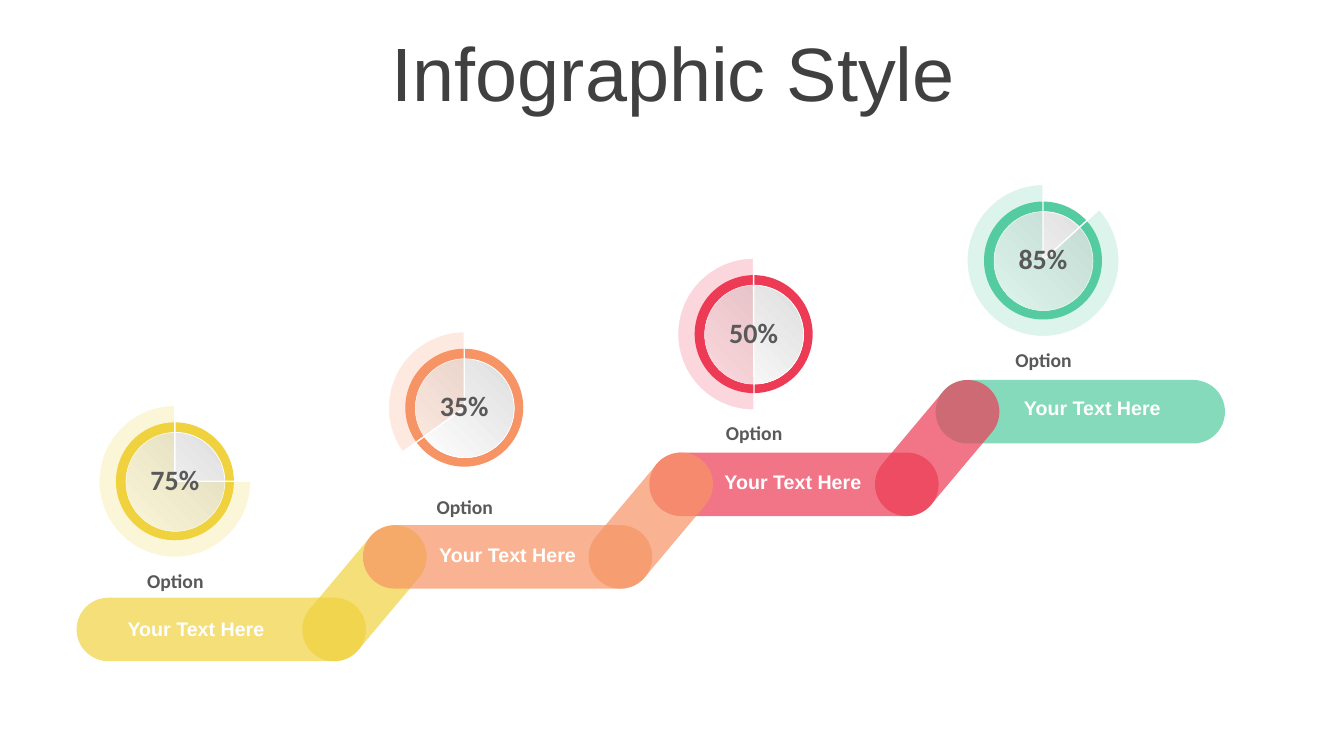
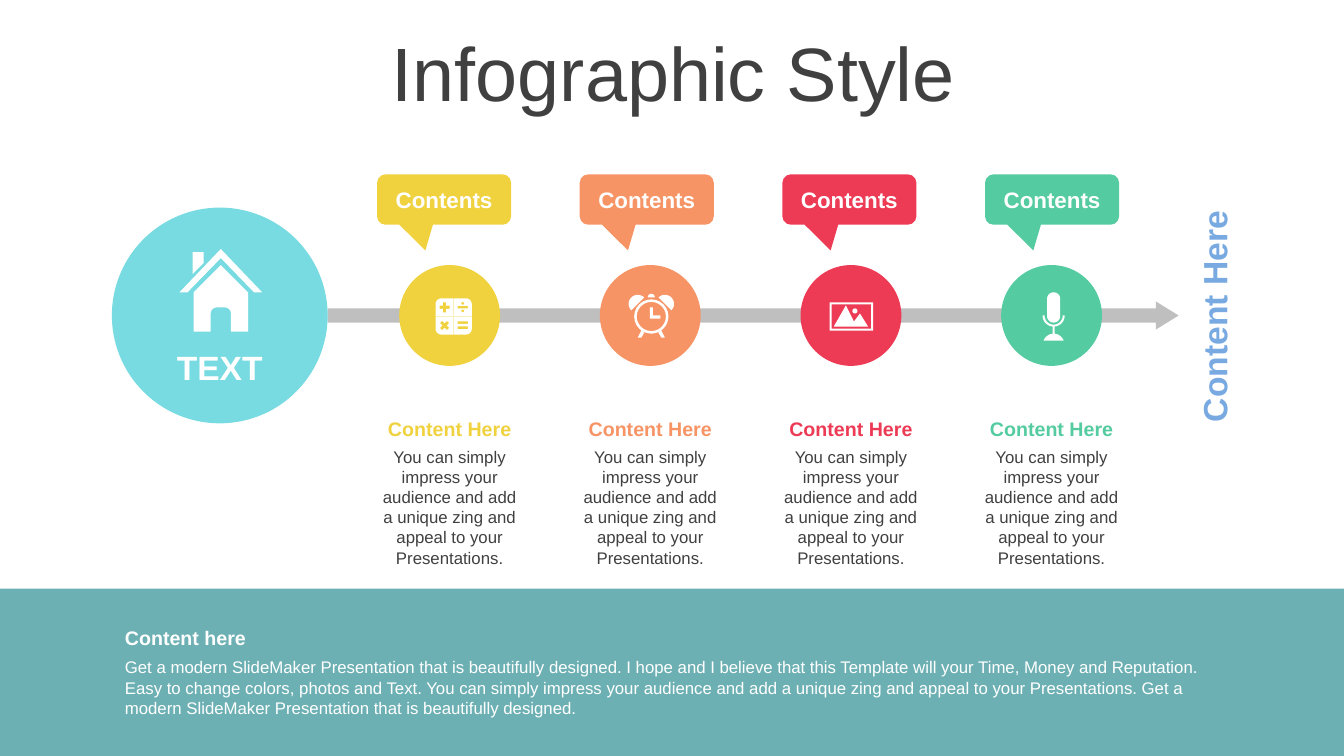
"""Build two infographic slides: a staircase of dials and an icon timeline."""
from math import cos, radians, sin

from lxml import etree
from pptx import Presentation
from pptx.dml.color import RGBColor
from pptx.enum.shapes import MSO_SHAPE
from pptx.enum.text import MSO_ANCHOR, PP_ALIGN
from pptx.oxml.ns import qn
from pptx.util import Inches, Pt

OVAL, PIE, RECT = MSO_SHAPE.OVAL, MSO_SHAPE.PIE, MSO_SHAPE.RECTANGLE
PILL, ARROW = MSO_SHAPE.ROUNDED_RECTANGLE, MSO_SHAPE.RIGHT_ARROW
BUBBLE = MSO_SHAPE.ROUNDED_RECTANGULAR_CALLOUT
LEFT, MID = PP_ALIGN.LEFT, PP_ALIGN.CENTER
TOP, CORE = MSO_ANCHOR.TOP, MSO_ANCHOR.MIDDLE


class Theme:
    white, dark, grey, silver = "FFFFFF", "404040", "595959", "BFBFBF"
    shade, aqua, sky, teal = "DEDEDE", "77DBE1", "78AAE1", "1F878D"
    hues = ["F0D23F", "F79465", "ED3B55", "54CBA0"]
    fonts = {
        "title": dict(name="Arial", size=Pt(54), bold=False),
        "big": dict(name="Arial", size=Pt(24), bold=True),
        "tag": dict(name="Arial", size=Pt(16), bold=True),
        "head": dict(name="Arial", size=Pt(14), bold=True),
        "body": dict(name="Arial", size=Pt(12), bold=False),
        "rate": dict(name="Calibri", size=Pt(20), bold=True),
        "label": dict(name="Calibri", size=Pt(14), bold=True),
    }


def box(x, y, w, h):
    return [(x, y), (x + w, y), (x + w, y + h), (x, y + h)]


def arc(x, y, r, start=0, end=360):
    turns = [radians(start + (end - start) * k / 24) for k in range(25)]
    return [(x + r * cos(t), y + r * sin(t)) for t in turns]


def cross(x, y, a, b, turn=0):
    arm = [(a, -b), (a, b), (b, b)]
    spins = [radians(turn + 90 * k) for k in range(4)]
    return [(x + u * cos(t) - v * sin(t), y + u * sin(t) + v * cos(t))
            for t in spins for u, v in arm]


def flip(dots):
    return [(-x, y) for x, y in dots]


def house():
    body = [(0, -25), (27, 2), (27, 41), (10, 41)] + arc(4, 23, 6, 0, -90)
    body += arc(-4, 23, 6, 270, 180) + [(-10, 41), (-27, 41), (-27, 2)]
    roof = [(0, -41), (41, 2), (33, 2), (0, -32), (-33, 2), (-41, 2)]
    flue = [(-28, -38), (-17, -38), (-17, -27), (-28, -16)]
    return [body, roof, flue]


def abacus():
    edge = (arc(12, 12, 6, 0, 90) + arc(-12, 12, 6, 90, 180)
            + arc(-12, -12, 6, 180, 270) + arc(12, -12, 6, 270, 360))
    seams = [box(-0.3, -18, 0.6, 36), box(-18, -0.3, 36, 0.6)]
    bars = [box(4, y, 10, 2.5) for y in (-10.5, 5, 10)]
    dots = [arc(9, y, 1.4) for y in (-13, -5.5)]
    return [edge, *seams, *bars, *dots,
            cross(-9, -9, 5, 1.6), cross(-9, 9, 5, 1.6, 45)]


def clock():
    ear = arc(-13.5, -12.5, 9, 135, 315)
    leg = [(-10, 14), (-13.5, 21), (-10, 21), (-7, 16)]
    hands = [(-1.5, -9), (1.5, -9), (1.5, -1), (9, -1), (9, 2), (-1.5, 2)]
    return [arc(0, 0, 17), arc(0, 0, 14.5), hands, ear, flip(ear),
            leg, flip(leg), arc(0, -19, 3.5, 180, 360)]


def photo():
    hills = [(-6, -11), (2, 5), (8, -3), (16, 10), (-18, 10)]
    return [box(-22, -14, 43, 28), box(-20, -12, 39, 24), hills,
            arc(3, -5.5, 2.5)]


def mic():
    head = arc(0, -16.5, 6.5, 180, 360) + arc(0, 0.5, 6.5, 0, 180)
    cup = arc(0, 0, 11, 0, 180) + arc(0, 0, 9, 180, 0)
    return [head, cup, box(-1, 11, 2, 7), arc(0, 28.6, 10.6, 200, 340)]


class Deck:
    def __init__(self, theme):
        self.theme = theme
        self.file = Presentation()
        self.file.slide_width = Inches(13.33)
        self.file.slide_height = Inches(7.5)

    def page(self, title):
        self.slide = self.file.slides.add_slide(self.file.slide_layouts[6])
        para = self.text(title, "title", self.theme.dark,
                         0.35, 0.37, 12.66, 0.79, anchor=CORE)
        para.line_spacing = 0.9

    def text(self, words, style, hue, x, y, w, h,
             align=MID, anchor=TOP, turn=0):
        item = self.slide.shapes.add_textbox(*map(Inches, (x, y, w, h)))
        item.rotation = turn
        frame = item.text_frame
        frame.word_wrap = True
        frame.vertical_anchor = anchor
        para = frame.paragraphs[0]
        para.text = words
        para.alignment = align
        for key, value in self.theme.fonts[style].items():
            setattr(para.font, key, value)
        para.font.color.rgb = RGBColor.from_string(hue)
        return para

    def paint(self, item, hue, alpha=100):
        item.shadow.inherit = False
        item.line.fill.background()
        item.fill.solid()
        item.fill.fore_color.rgb = RGBColor.from_string(hue)
        if alpha < 100:
            tint = item._element.spPr.find(".//" + qn("a:srgbClr"))
            etree.SubElement(tint, qn("a:alpha"), val=str(alpha * 1000))

    def shape(self, kind, hue, x, y, w, h, adj=(), alpha=100, turn=0):
        item = self.slide.shapes.add_shape(kind, *map(Inches, (x, y, w, h)))
        for k, value in enumerate(adj):
            item.adjustments[k] = value
        item.rotation = turn
        self.paint(item, hue, alpha)
        return item

    def rim(self, item, width):
        item.line.color.rgb = RGBColor.from_string(self.theme.white)
        item.line.width = Pt(width)

    def icon(self, loops, x, y):
        paths = [[(Inches(x + u / 100), Inches(y + v / 100))
                  for u, v in loop] for loop in loops]
        pen = self.slide.shapes.build_freeform(*paths[0][0])
        for k, dots in enumerate(paths):
            if k:
                pen.move_to(*dots[0])
            pen.add_line_segments(dots[1:], close=True)
        self.paint(pen.convert_to_shape(), self.theme.white)

    def bar(self, k):
        self.shape(PILL, self.theme.hues[k], 0.76 + 2.84 * k,
                   5.93 - 0.72 * k, 2.87, 0.63, [0.5], 70)

    def link(self, k):
        self.shape(PILL, self.theme.hues[k], 2.83 + 2.84 * k,
                   5.57 - 0.72 * k, 1.57, 0.63, [0.5], 70, 310)

    def dial(self, rate, start, hue, x, y):
        look = self.theme
        self.shape(OVAL, hue, x, y, 1.17, 1.17)
        face = self.shape(OVAL, look.white, x + 0.1, y + 0.1, 0.98, 0.98)
        face.fill.gradient()
        face.fill.gradient_angle = 225
        for stop, tone in zip(face.fill.gradient_stops,
                              (look.shade, look.white)):
            stop.color.rgb = RGBColor.from_string(tone)
        self.rim(face, 0.5)
        slice = self.shape(PIE, hue, x - 0.17, y - 0.17, 1.51, 1.51,
                           [start, 162], 20)
        self.rim(slice, 1)
        self.text(rate, "rate", look.grey, x, y + 0.35, 1.17, 0.44)
        self.text("Option", "label", look.grey, x - 0.08, y + 1.4, 1.34, 0.34)

    def stage(self, k, draw, x, y):
        hue, white = self.theme.hues[k], self.theme.white
        left, tip = 3.67 + 1.99 * k, 3.74 + 2.01 * k
        self.shape(OVAL, hue, left + 0.29, 2.63, 1, 1)
        self.icon(draw(), x, y)
        self.shape(BUBBLE, hue, tip, 1.73, 1.33, 0.5, [-0.14, 1.01, 0.17])
        self.text("Contents", "tag", white, tip, 1.79, 1.33, 0.37,
                  anchor=CORE)
        self.text("Content Here", "head", hue, left, 4.08, 1.58, 0.34,
                  anchor=CORE)
        self.text("You can simply impress your audience and add a unique "
                  "zing and appeal to your Presentations.", "body",
                  self.theme.dark, left, 4.38, 1.58, 1.31)

    def band(self, head, body):
        white = self.theme.white
        self.shape(RECT, self.theme.teal, 0, 5.84, 13.33, 1.66, alpha=65)
        self.text(head, "head", white, 1.14, 6.16, 11.18, 0.34, LEFT, CORE)
        self.text(body, "body", white, 1.14, 6.47, 11.18, 0.71, LEFT)


def stairs(deck):
    deck.page("Infographic Style")
    deck.bar(0)
    deck.link(0)
    for k in (1, 2, 3):
        deck.bar(k)
    for k in (1, 2):
        deck.link(k)
    steps = [("75%", 0, 1.08), ("35%", 86.61, 4.17),
             ("50%", 53.76, 7), ("85%", 190.59, 9.97)]
    for k, (rate, start, left) in enumerate(steps):
        rise = 0.73 * k
        deck.dial(rate, start, deck.theme.hues[k], 1.15 + 2.87 * k,
                  4.19 - rise)
        deck.text("Your Text Here", "head", deck.theme.white,
                  left, 6.07 - rise, 1.73, 0.34)


def route(deck):
    look = deck.theme
    deck.page("Infographic Style")
    deck.band("Content here",
              "Get a modern SlideMaker Presentation that is beautifully "
              "designed. I hope and I believe that this Template will your "
              "Time, Money and Reputation. Easy to change colors, photos and "
              "Text. You can simply impress your audience and add a unique "
              "zing and appeal to your Presentations. Get a modern "
              "SlideMaker Presentation that is beautifully designed.")
    deck.shape(ARROW, look.silver, 3.25, 2.99, 8.44, 0.28, [0.5, 0.81])
    deck.shape(OVAL, look.aqua, 1.11, 2.06, 2.14, 2.14)
    deck.icon(house(), 2.19, 2.88)
    deck.text("TEXT", "big", look.white, 1.63, 3.39, 1.1, 0.5, anchor=CORE)
    deck.text("Content Here", "big", look.sky, 10.87, 2.89, 2.34, 0.5,
              anchor=CORE, turn=270)
    marks = [(abacus, 4.5, 3.14), (clock, 6.46, 3.14),
             (photo, 8.45, 3.14), (mic, 10.45, 3.13)]
    for k, mark in enumerate(marks):
        deck.stage(k, *mark)


def main():
    deck = Deck(Theme())
    stairs(deck)
    route(deck)
    deck.file.save("out.pptx")


if __name__ == "__main__":
    main()
